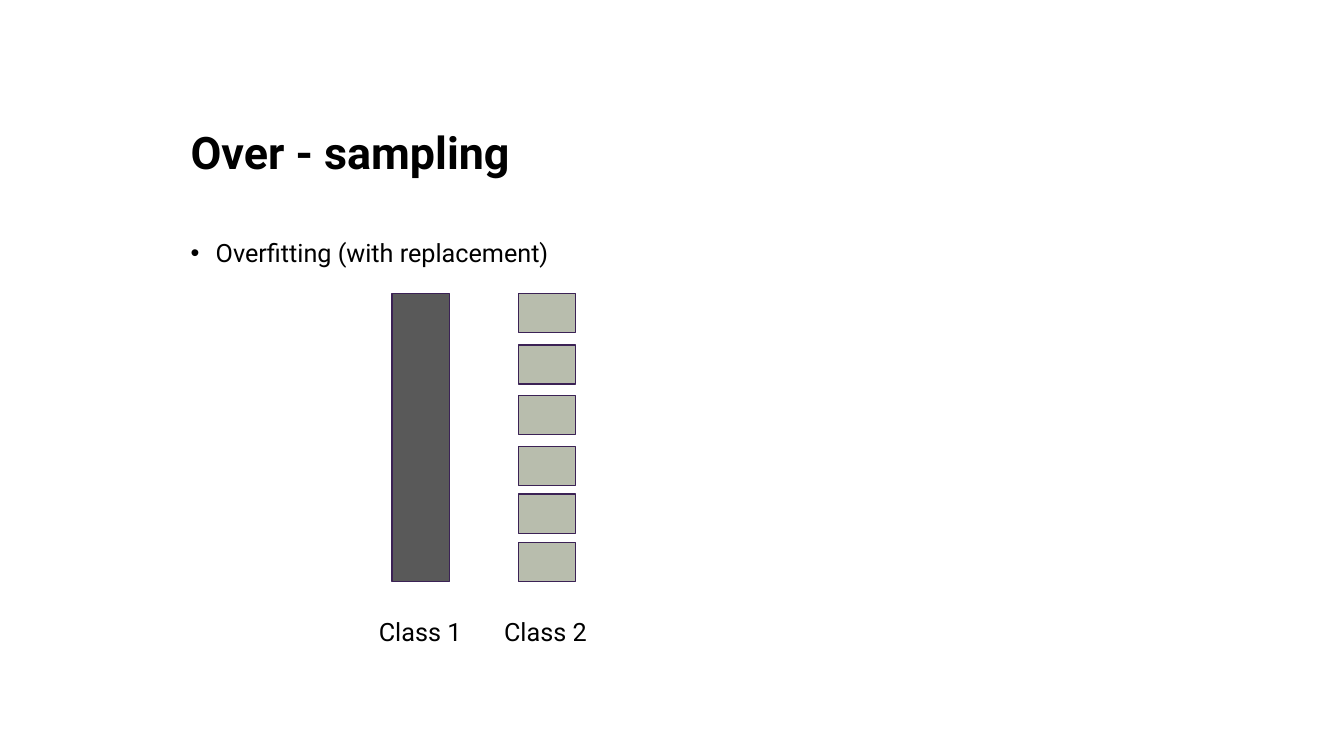
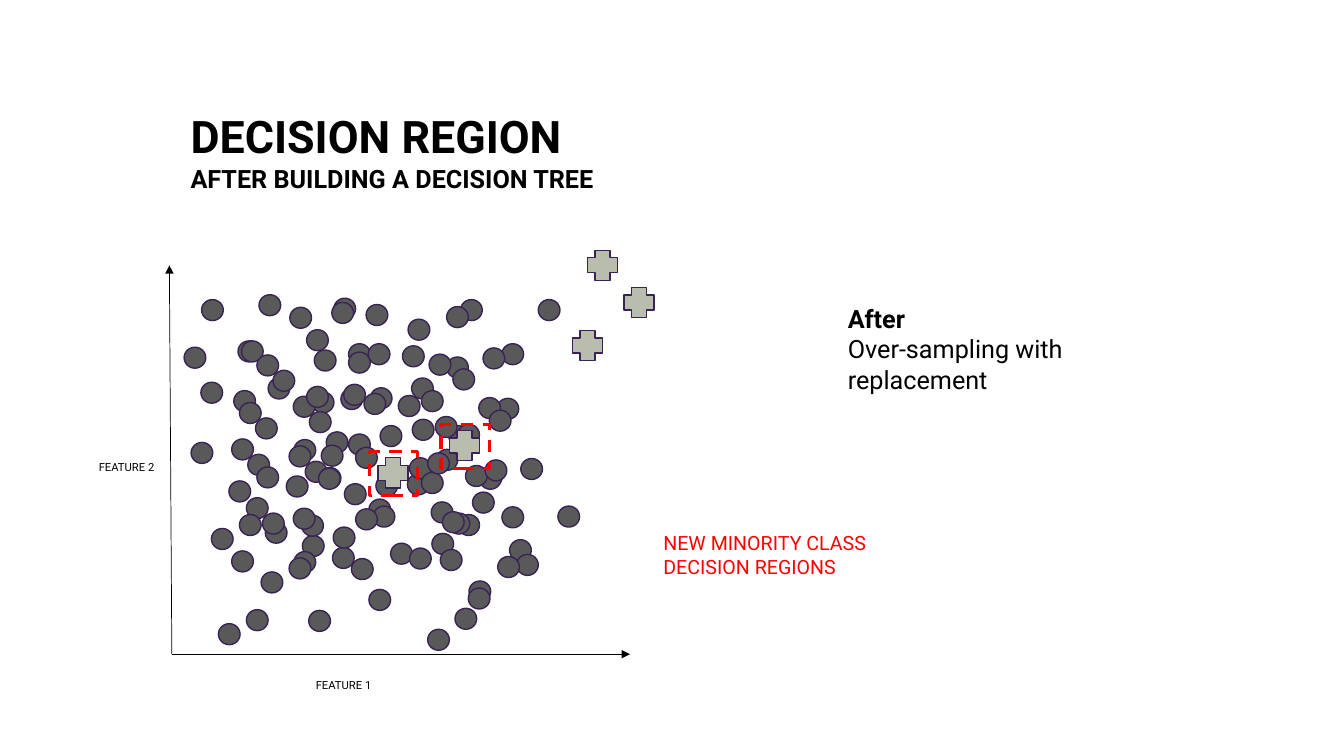
from dataclasses import dataclass
from itertools import chain
from typing import Iterator

from lxml import etree
from pptx import Presentation
from pptx import util as u
from pptx.dml.color import RGBColor
from pptx.enum import dml, shapes, text
from pptx.oxml.ns import qn

Spot = tuple[float, float]

FONT = "Roboto"
BLACK, RED = "000000", "FF0000"
DARK, PALE, EDGE = "595959", "B8BDAD", "3B2255"
KIND = shapes.MSO_SHAPE
TITLE, BODY, NOTE, TINY = 32, 18, 14, 8


@dataclass(frozen=True)
class Box:
    x: float
    y: float
    w: float
    h: float

    def place(self) -> tuple:
        return tuple(u.Pt(n) for n in (self.x, self.y, self.w, self.h))


@dataclass(frozen=True)
class Style:
    kind: KIND
    w: float
    h: float
    fill: str | None = None
    edge: str = EDGE
    width: float = 1
    dash: bool = False


@dataclass(frozen=True)
class Run:
    say: str
    size: float = BODY
    bold: bool = False
    ink: str = BLACK


@dataclass(frozen=True)
class Label:
    box: Box
    lines: tuple[Run, ...]


@dataclass(frozen=True)
class Swarm:
    form: tuple[Spot, ...]
    seeds: tuple[Spot, ...]

    def spots(self) -> Iterator[Spot]:
        for x, y in self.seeds:
            for right, down in self.form:
                yield x + right, y + down


HEAD = Box(129, 54, 702, 108)
MAIN = Box(129, 162, 702, 325)

MAJOR = Style(KIND.RECTANGLE, 41, 206, DARK)
MINOR = Style(KIND.RECTANGLE, 41, 28, PALE)
DOT = Style(KIND.OVAL, 15.5, 15, DARK)
PLUS = Style(KIND.CROSS, 21.5, 21.5, PALE)
ZONE = Style(KIND.RECTANGLE, 34.5, 31.5, edge=RED, width=2.25, dash=True)

BAR_TOP, MAJOR_X, MINOR_X = 209.5, 280, 370.2
MINOR_TOPS = (BAR_TOP, 246.4, 282.4, 319, 353, 387.4)
CLASSES = {"Class 1": 263.5, "Class 2": 353}

CORE = ((0, 0), (26, 29.5), (-12.5, 34), (23, 65), (-7.5, 102))
TAILED = CORE + ((-18, 60),)
CAPPED = CORE + ((41, -3.5),)
WIDE = ((0, 0), (45, 24.5), (-26, 34.5), (15.5, 31.5),
        (71.5, 58.5), (0, 64.5), (42, 93))
FLUNG = ((-120, -83.5),) + WIDE
ALONE = ((0, 0),)

SWARMS = (
    Swarm(ALONE, (
        (238.5, 213), (291.5, 228), (219, 235.5), (319, 255), (329, 214),
        (358.5, 245.5), (210, 314), (355, 284.5), (384.5, 214), (191.5, 270),
        (246, 345.5), (343.5, 332.5), (294.5, 299.5), (216, 382.5))),
    Swarm(WIDE, ((249, 245.5),)),
    Swarm(CAPPED, ((144, 214), (163.5, 343.5))),
    Swarm(FLUNG, ((263.5, 356.5), (292.5, 327), (327, 303))),
    Swarm(TAILED, (
        (183.5, 253.5), (195, 264.5), (261.5, 217.5), (228, 334), (319, 219),
        (245.5, 274.5), (183.5, 333.5), (332.5, 332.5), (237, 216),
        (323.5, 263.5))),
)

INNER = ((270, 327), (321, 307.5))
OUTER = ((419.75, 178.75), (445.75, 205.25), (409, 236))
ZONE_SHIFT = (-6, -4.25)

ORIGIN, RIGHT_END, TOP_END = (122.75, 467.25), (450, 467.25), (121, 189.5)
NOTES = (
    Label(Box(218.5, 481, 124, 17), (Run("FEATURE 1", TINY),)),
    Label(Box(63.5, 325.5, 125, 17), (Run("FEATURE 2", TINY),)),
    Label(Box(598.5, 213.25, 169, 73),
          (Run("After", bold=True), Run("Over-sampling with replacement"))),
    Label(Box(466.75, 375.75, 169, 58),
          (Run("NEW MINORITY CLASS DECISION REGIONS", NOTE, ink=RED),)),
)


def tint(code: str) -> RGBColor:
    return RGBColor.from_string(code)


def add_run(para, run: Run) -> None:
    part = para.add_run()
    part.text = run.say
    font = part.font
    font.name, font.size, font.bold = FONT, u.Pt(run.size), run.bold
    font.color.rgb = tint(run.ink)


def add_frame(slide, box: Box):
    frame = slide.shapes.add_textbox(*box.place()).text_frame
    frame.word_wrap = True
    return frame


def add_title(slide, *runs: Run) -> None:
    frame = add_frame(slide, HEAD)
    frame.vertical_anchor = text.MSO_ANCHOR.MIDDLE
    para = frame.paragraphs[0]
    for i, run in enumerate(runs):
        if i:
            para.add_line_break()
        add_run(para, run)


def add_point(slide, run: Run) -> None:
    para = add_frame(slide, MAIN).paragraphs[0]
    para.line_spacing, para.space_before = 1.2, u.Pt(10)
    props = para._p.get_or_add_pPr()
    props.set("marL", str(u.Pt(18)))
    props.set("indent", str(u.Pt(-18)))
    etree.SubElement(props, qn("a:buFont")).set("typeface", "Arial")
    etree.SubElement(props, qn("a:buChar")).set("char", "•")
    add_run(para, run)


def add_label(slide, label: Label) -> None:
    frame = add_frame(slide, label.box)
    frame.auto_size = text.MSO_AUTO_SIZE.SHAPE_TO_FIT_TEXT
    for i, run in enumerate(label.lines):
        add_run(frame.add_paragraph() if i else frame.paragraphs[0], run)


def add_mark(slide, style: Style, spot: Spot) -> None:
    box = Box(*spot, style.w, style.h)
    shape = slide.shapes.add_shape(style.kind, *box.place())
    shape.shadow.inherit = False
    if style.fill:
        shape.fill.solid()
        shape.fill.fore_color.rgb = tint(style.fill)
    else:
        shape.fill.background()
    shape.line.color.rgb = tint(style.edge)
    shape.line.width = u.Pt(style.width)
    if style.dash:
        shape.line.dash_style = dml.MSO_LINE.DASH


def add_arrow(slide, start: Spot, end: Spot) -> None:
    arrow = slide.shapes.add_connector(
        shapes.MSO_CONNECTOR.STRAIGHT, *(u.Pt(n) for n in start + end))
    arrow.line.color.rgb = tint(BLACK)
    arrow.line.width = u.Pt(0.5)
    line = arrow.line._get_or_add_ln()
    etree.SubElement(line, qn("a:tailEnd")).set("type", "triangle")
    etree.SubElement(arrow._element.spPr, qn("a:effectLst"))


def draw_bars(slide) -> None:
    add_title(slide, Run("Over - sampling", TITLE, True))
    add_point(slide, Run("Overfitting (with replacement)"))
    add_mark(slide, MAJOR, (MAJOR_X, BAR_TOP))
    for top in MINOR_TOPS:
        add_mark(slide, MINOR, (MINOR_X, top))
    for name, x in CLASSES.items():
        add_label(slide, Label(Box(x, 436.5, 76, 29), (Run(name),)))


def draw_plot(slide) -> None:
    add_title(slide, Run("DECISION REGION", TITLE, True),
              Run("AFTER BUILDING A DECISION TREE", bold=True))
    for spot in chain.from_iterable(swarm.spots() for swarm in SWARMS):
        add_mark(slide, DOT, spot)
    for spot in INNER + OUTER:
        add_mark(slide, PLUS, spot)
    right, down = ZONE_SHIFT
    for x, y in INNER:
        add_mark(slide, ZONE, (x + right, y + down))
    for end in (RIGHT_END, TOP_END):
        add_arrow(slide, ORIGIN, end)
    for label in NOTES:
        add_label(slide, label)


def main() -> None:
    deck = Presentation()
    deck.slide_width, deck.slide_height = u.Pt(960), u.Pt(540)
    blank = deck.slide_layouts[6]
    for draw in (draw_bars, draw_plot):
        draw(deck.slides.add_slide(blank))
    deck.save("out.pptx")


if __name__ == "__main__":
    main()
